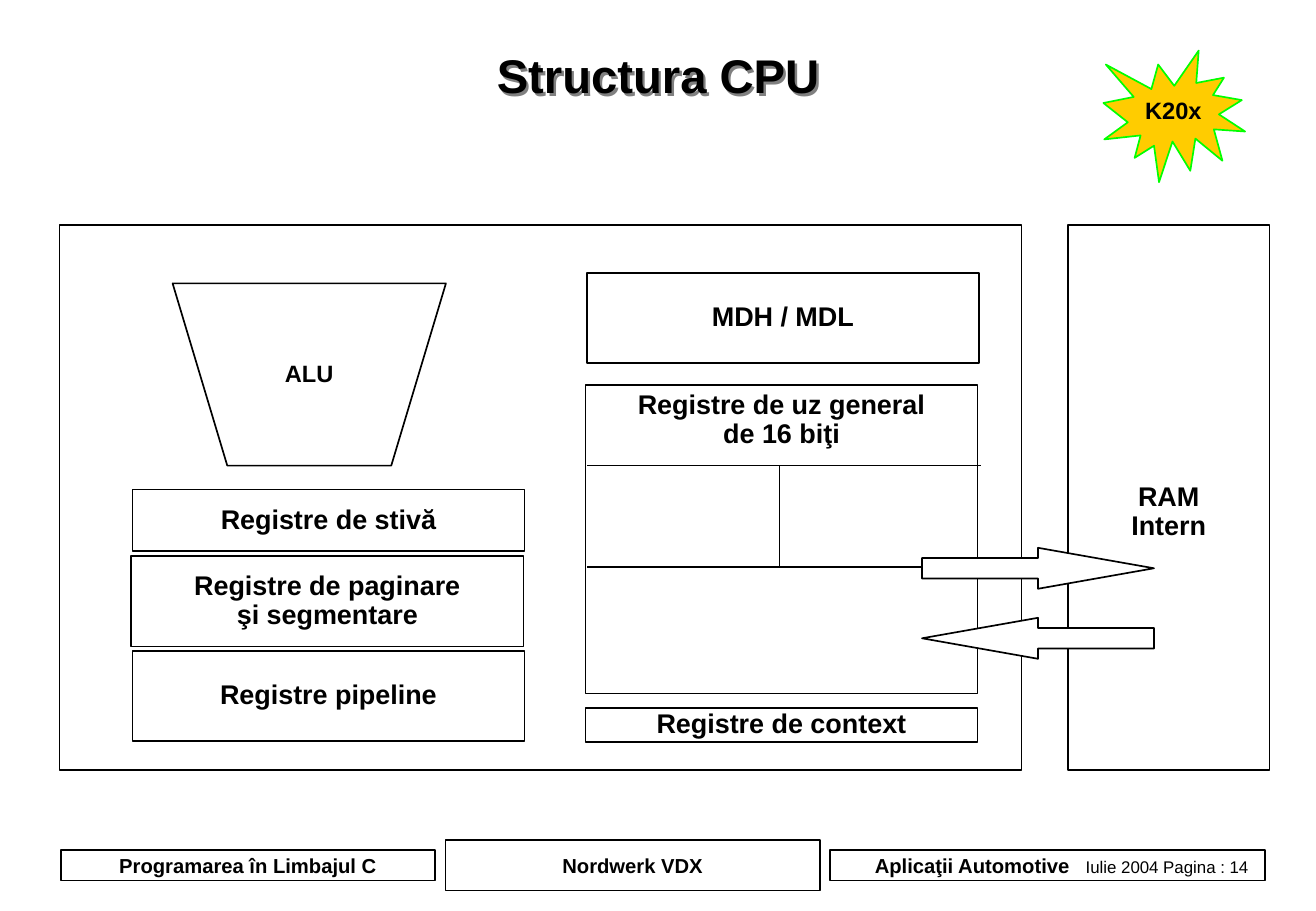
from collections import namedtuple

from lxml import etree
from pptx import Presentation
from pptx.dml.color import RGBColor
from pptx.enum import shapes, text
from pptx.oxml import ns
from pptx.util import Pt

COLORS = {"ink": "000000", "paper": "FFFFFF", "burst": "FFCC00",
          "burst_line": "00FF00", "shadow": "808080"}
FONT = "Arial"
SHAPE = shapes.MSO_SHAPE
ALIGN = text.PP_ALIGN
ANCHOR = text.MSO_ANCHOR
Box = namedtuple("Box", "left top width height")


def color(name):
    return RGBColor.from_string(COLORS[name])


def inside(box, left, top, width, height):
    """Return a box offset from the corner of another box."""
    return Box(box.left + left, box.top + top, width, height)


def format_span(span, size, bold=True):
    span.font.name = FONT
    span.font.size = Pt(size)
    span.font.bold = bold
    span.font.color.rgb = color("ink")


def write(frame, words, size, spacing=0.9):
    """Fill a text frame with centred bold text."""
    frame.text = words
    for para in frame.paragraphs:
        para.alignment = ALIGN.CENTER
        para.line_spacing = spacing
        for span in para.runs:
            format_span(span, size)


def add_block(page, box, words="", size=16, kind=SHAPE.RECTANGLE,
              fill="paper", line="ink", anchor=ANCHOR.MIDDLE, spacing=0.9):
    """Add an outlined shape with optional text."""
    block = page.shapes.add_shape(kind, *map(Pt, box))
    block.shadow.inherit = False
    block.fill.solid()
    block.fill.fore_color.rgb = color(fill)
    block.line.color.rgb = color(line)
    block.line.width = Pt(1)
    if words:
        block.text_frame.word_wrap = False
        block.text_frame.vertical_anchor = anchor
        write(block.text_frame, words, size, spacing)
    return block


def add_line(page, *ends):
    line = page.shapes.add_connector(shapes.MSO_CONNECTOR.STRAIGHT,
                                     *map(Pt, ends))
    line.line.color.rgb = color("ink")
    line.line.width = Pt(1)
    etree.SubElement(line._element.spPr, ns.qn("a:effectLst"))


def add_title(page, box):
    title = page.shapes.add_textbox(*map(Pt, box))
    frame = title.text_frame
    frame.word_wrap = True
    frame.vertical_anchor = ANCHOR.MIDDLE
    write(frame, "Structura CPU", 28)
    effects = etree.SubElement(title._element.spPr, ns.qn("a:effectLst"))
    shadow = etree.SubElement(effects, ns.qn("a:outerShdw"),
                              dist=str(Pt(2)), dir="2700000")
    etree.SubElement(shadow, ns.qn("a:srgbClr"), val=COLORS["shadow"])


def add_general_registers(page, box):
    """Add the general-purpose register box with its dividers."""
    add_block(page, box, "Registre de uz general\nde 16 biţi",
              anchor=ANCHOR.TOP)
    upper, lower = box.top + 47.75, box.top + 108
    middle = box.left + 115
    add_line(page, middle, upper, middle, lower)
    for level in (upper, lower):
        add_line(page, box.left + 1, level, box.left + 234.5, level)


def add_cpu(page, box):
    add_block(page, box)
    register_width = 232.5
    for words, left, top, height in (
            ("Registre de stivă", 43.2, 157, 36.5),
            ("Registre pipeline", 43.2, 252.5, 53.5),
            ("Registre de paginare\nşi segmentare", 42.5, 196.5, 53.5),
            ("MDH / MDL", 312.5, 28.5, 53.5),
            ("Registre de context", 311.7, 286.5, 20)):
        add_block(page, inside(box, left, top, register_width, height), words)
    add_general_registers(page, inside(box, 311.7, 95, register_width, 183))
    add_block(page, inside(box, 67, 34.8, 162, 108), "ALU", 14,
              SHAPE.FLOWCHART_MANUAL_OPERATION)


def add_memory(page, box):
    """Add the internal RAM and the arrows that link it to the CPU."""
    memory = add_block(page, box, "RAM\nIntern")
    memory.text_frame.margin_top = Pt(21)
    for kind, top in ((SHAPE.RIGHT_ARROW, 191.5), (SHAPE.LEFT_ARROW, 233)):
        arrow = add_block(page, inside(box, -86.5, top, 137.5, 24.3), kind=kind)
        arrow.adjustments[0] = 0.5
        arrow.adjustments[1] = 2.83


def add_footer(page, box):
    add_block(page, inside(box, 0, 6, 222, 18),
              "Programarea în Limbajul C", 12, spacing=1)
    add_block(page, inside(box, 228, 0, 222, 30), "Nordwerk VDX", 12, spacing=1)

    issue = add_block(page, inside(box, 456, 6, 258, 18))
    frame = issue.text_frame
    frame.word_wrap = True
    frame.vertical_anchor = ANCHOR.MIDDLE
    frame.margin_left = Pt(26.5)
    para = frame.paragraphs[0]
    para.alignment = ALIGN.LEFT
    tabs = etree.SubElement(para._p.get_or_add_pPr(), ns.qn("a:tabLst"))
    etree.SubElement(tabs, ns.qn("a:tab"), pos=str(Pt(125)), algn="l")
    for words, size, bold in (("Aplicaţii Automotive\t", 12, True),
                              ("Iulie 2004 Pagina : 14", 10, False)):
        span = para.add_run()
        span.text = words
        format_span(span, size, bold)


def main():
    deck = Presentation()
    deck.slide_width, deck.slide_height = Pt(780), Pt(540)
    page = deck.slides.add_slide(deck.slide_layouts[6])
    add_footer(page, Box(36, 498, 714, 30))
    add_title(page, Box(45, 26.5, 690, 40))
    add_block(page, Box(654, 30, 84, 78), "K20x", 14, SHAPE.EXPLOSION1,
              "burst", "burst_line")
    add_cpu(page, Box(35.3, 133.2, 570.2, 323.3))
    add_memory(page, Box(633, 133.2, 119.5, 323.3))
    deck.save("out.pptx")


if __name__ == "__main__":
    main()
